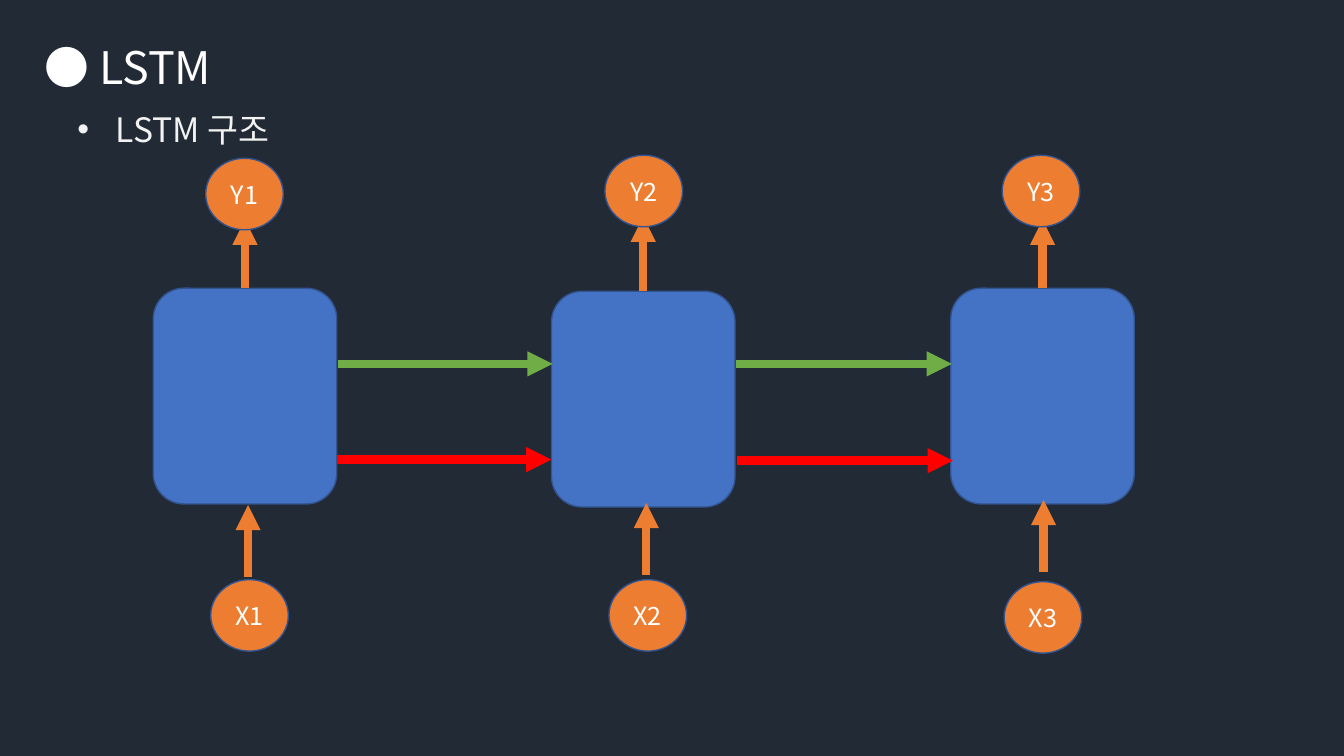
from typing import NamedTuple

from lxml import etree
from pptx import Presentation
from pptx import util as u
from pptx.dml.color import RGBColor
from pptx.enum import shapes, text
from pptx.oxml import ns

PX = 9144  # EMU per px, 100 px to the inch
FONT = "Noto Sans CJK KR"

NIGHT = RGBColor(0x22, 0x2A, 0x35)
WHITE = RGBColor(0xFF, 0xFF, 0xFF)
PALE = RGBColor(0xF2, 0xF2, 0xF2)
BLUE = RGBColor(0x44, 0x72, 0xC4)
OUTLINE = RGBColor(0x32, 0x54, 0x91)
ORANGE = RGBColor(0xED, 0x7D, 0x31)
GREEN = RGBColor(0x70, 0xAD, 0x47)
RED = RGBColor(0xFF, 0x00, 0x00)

CELL_W, CELL_H = 182, 214
NODE_W, NODE_H = 77, 71
ARROW_RISE = 71


class Point(NamedTuple):
    x: int
    y: int


class Step(NamedTuple):
    """One time step: its cell, input and output nodes, and vertical arrows."""
    cell: Point
    output: Point
    output_tip: Point
    input: Point
    input_tail: Point


class Flow(NamedTuple):
    """A horizontal arrow that carries a state to the next cell."""
    start: Point
    end: Point
    color: RGBColor


STEPS = [
    Step(Point(152, 286), Point(204, 157), Point(243, 218), Point(209, 575), Point(246, 572)),
    Step(Point(547, 289), Point(600, 154), Point(638, 215), Point(604, 575), Point(641, 570)),
    Step(Point(943, 286), Point(994, 154), Point(1034, 218), Point(996, 577), Point(1035, 567)),
]
FLOWS = [
    Flow(Point(334, 456), Point(547, 456), RED),
    Flow(Point(335, 361), Point(548, 361), GREEN),
    Flow(Point(730, 361), Point(944, 361), GREEN),
    Flow(Point(731, 457), Point(945, 457), RED),
]


def px(length: int) -> u.Emu:
    return u.Emu(length * PX)


def add_run(paragraph, words: str, size: int, color: RGBColor) -> None:
    run = paragraph.add_run()
    run.text = words
    run.font.size = u.Pt(size)
    run.font.color.rgb = color
    run.font.name = FONT
    east_asian = etree.SubElement(run.font._element, ns.qn("a:ea"))
    east_asian.set("typeface", FONT)


def add_heading(slide, corner: Point, width: int, height: int,
                words: str, size: int, color: RGBColor):
    box = slide.shapes.add_textbox(px(corner.x), px(corner.y), px(width), px(height))
    box.text_frame.word_wrap = True
    box.text_frame.auto_size = text.MSO_AUTO_SIZE.SHAPE_TO_FIT_TEXT
    paragraph = box.text_frame.paragraphs[0]
    add_run(paragraph, words, size, color)
    return paragraph


def add_bullet(paragraph, indent: int) -> None:
    properties = paragraph._p.get_or_add_pPr()
    properties.set("marL", str(px(indent)))
    properties.set("indent", str(px(-indent)))
    etree.SubElement(properties, ns.qn("a:buFont")).set("typeface", "Arial")
    etree.SubElement(properties, ns.qn("a:buChar")).set("char", "•")


def add_block(slide, kind: shapes.MSO_SHAPE, corner: Point,
              width: int, height: int, fill: RGBColor):
    block = slide.shapes.add_shape(kind, px(corner.x), px(corner.y), px(width), px(height))
    block.shadow.inherit = False
    block.fill.solid()
    block.fill.fore_color.rgb = fill
    block.line.color.rgb = OUTLINE
    block.line.width = u.Pt(1)
    return block


def add_node(slide, corner: Point, label: str) -> None:
    node = add_block(slide, shapes.MSO_SHAPE.OVAL, corner, NODE_W, NODE_H, ORANGE)
    node.text_frame.vertical_anchor = text.MSO_ANCHOR.MIDDLE
    paragraph = node.text_frame.paragraphs[0]
    paragraph.alignment = text.PP_ALIGN.CENTER
    add_run(paragraph, label, 18, WHITE)


def add_arrow(slide, start: Point, end: Point, color: RGBColor):
    arrow = slide.shapes.add_connector(
        shapes.MSO_CONNECTOR.STRAIGHT, px(start.x), px(start.y), px(end.x), px(end.y))
    arrow.line.color.rgb = color
    arrow.line.width = u.Pt(6)
    line = arrow.line._get_or_add_ln()
    etree.SubElement(line, ns.qn("a:tailEnd")).set("type", "triangle")
    etree.SubElement(arrow._element.spPr, ns.qn("a:effectLst"))
    return arrow


def main() -> None:
    deck = Presentation()
    deck.slide_width, deck.slide_height = u.Inches(13.33), u.Inches(7.5)
    slide = deck.slides.add_slide(deck.slide_layouts[6])
    slide.background.fill.solid()
    slide.background.fill.fore_color.rgb = NIGHT

    # Title and subtitle
    add_heading(slide, Point(34, 34), 909, 64, "● LSTM", 32, WHITE)
    subtitle = add_heading(slide, Point(67, 103), 1142, 50, "LSTM 구조", 24, PALE)
    add_bullet(subtitle, 38)

    # LSTM cells
    cells = [add_block(slide, shapes.MSO_SHAPE.ROUNDED_RECTANGLE, step.cell,
                       CELL_W, CELL_H, BLUE) for step in STEPS]

    # States passed between cells
    for flow in FLOWS:
        add_arrow(slide, flow.start, flow.end, flow.color)

    # Arrows out of and into each cell
    for step, cell in zip(STEPS, cells):
        cell_top = Point(step.cell.x + CELL_W // 2, step.cell.y)
        add_arrow(slide, cell_top, step.output_tip, ORANGE).begin_connect(cell, 0)
        tail = step.input_tail
        add_arrow(slide, tail, Point(tail.x, tail.y - ARROW_RISE), ORANGE)

    # Input and output nodes
    for number, step in enumerate(STEPS, start=1):
        add_node(slide, step.input, f"X{number}")
        add_node(slide, step.output, f"Y{number}")

    deck.save("out.pptx")


if __name__ == "__main__":
    main()
